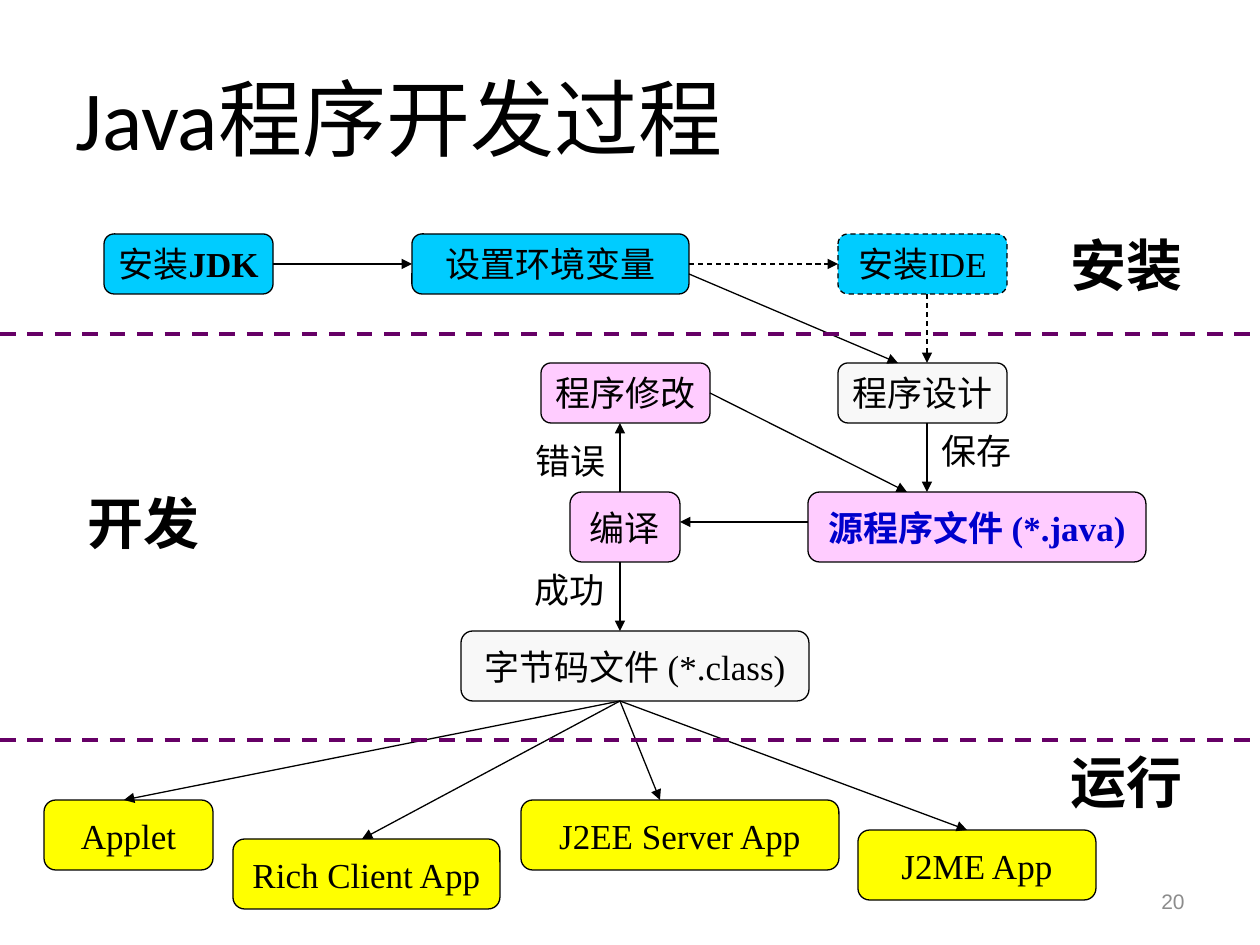
import pptx
import pptx.dml.color
import pptx.enum.dml
import pptx.enum.shapes
import pptx.enum.text
import pptx.oxml
import pptx.oxml.ns
import pptx.util
import dataclasses

PX = 914400 / 126  # EMU per pixel
ALIGN = pptx.enum.text.PP_ALIGN
MIDDLE = pptx.enum.text.MSO_ANCHOR.MIDDLE
TOP, LEFT, BOTTOM, RIGHT = range(4)


@dataclasses.dataclass(frozen=True)
class Theme:
    ink: str = "000000"
    source_ink: str = "0000CC"
    number_ink: str = "8C8C8C"
    install: str = "00CCFF"
    edit: str = "FFCCFF"
    plain: str = "F8F8F8"
    run: str = "FFFF00"
    divider: str = "660066"
    title_size: int = 48
    stage_size: int = 32
    body_size: int = 20
    number_size: int = 12
    thin: float = 0.75
    thick: float = 2.25
    sans: str = "Calibri"
    serif: str = "Times New Roman"
    number_font: str = "Arial"


theme = Theme()


def rgb(value):
    return pptx.dml.color.RGBColor.from_string(value)


def write(shape, text, font, size, color=theme.ink, bold=False,
          align=ALIGN.CENTER, bold_tail=""):
    """Fill a shape with one paragraph, optionally ending in a bold run."""
    para = shape.text_frame.paragraphs[0]
    para.text = text
    para.alignment = align
    if bold_tail:
        para.add_run().text = bold_tail
    for span in para.runs:
        span.font.name = font
        span.font.size = pptx.util.Pt(size)
        span.font.bold = bold or span.text == bold_tail
        span.font.color.rgb = rgb(color)


deck = pptx.Presentation()
deck.slide_width = round(1260 * PX)
deck.slide_height = round(945 * PX)
page = deck.slides.add_slide(deck.slide_layouts[5])

title = page.shapes.title
title.left, title.top, title.width, title.height = (
    round(v * PX) for v in (63, 38, 1134, 157))
title.text_frame.vertical_anchor = MIDDLE
write(title, "Java程序开发过程", theme.sans, theme.title_size, align=ALIGN.LEFT)

# Process boxes: name, text, bold tail, fill, left, top, width, height
steps = [
    ("jdk", "安装", "JDK", theme.install, 104, 234, 169, 60),
    ("environment", "设置环境变量", "", theme.install, 412, 234, 277, 60),
    ("ide", "安装IDE", "", theme.install, 838, 234, 169, 60),
    ("source", "源程序文件 (*.java)", "", theme.edit, 808, 492, 338, 70),
    ("compile", "编译", "", theme.edit, 570, 492, 110, 70),
    ("bytecode", "字节码文件 (*.class)", "", theme.plain, 461, 631, 348, 70),
    ("design", "程序设计", "", theme.plain, 838, 363, 169, 60),
    ("modify", "程序修改", "", theme.edit, 541, 363, 169, 60),
    ("applet", "Applet", "", theme.run, 44, 800, 169, 70),
    ("rich_client", "Rich Client App", "", theme.run, 233, 839, 267, 70),
    ("server", "J2EE Server App", "", theme.run, 521, 800, 318, 70),
    ("mobile", "J2ME App", "", theme.run, 858, 830, 238, 70),
]
boxes = {}
for name, text, tail, fill, *frame in steps:
    box = page.shapes.add_shape(
        pptx.enum.shapes.MSO_SHAPE.FLOWCHART_ALTERNATE_PROCESS,
        *(round(v * PX) for v in frame))
    box.shadow.inherit = False
    box.fill.solid()
    box.fill.fore_color.rgb = rgb(fill)
    box.line.color.rgb = rgb(theme.ink)
    box.line.width = pptx.util.Pt(theme.thin)
    box.text_frame.word_wrap = False
    box.text_frame.vertical_anchor = MIDDLE
    is_source = name == "source"
    write(box, text, theme.serif, theme.body_size,
          theme.source_ink if is_source else theme.ink, is_source, bold_tail=tail)
    boxes[name] = box
boxes["ide"].line.dash_style = pptx.enum.dml.MSO_LINE.DASH

# Lines: start, end, dashed, is divider; an end is a point or (box name, side)
fan = (620, 701)
lines = [
    (("jdk", RIGHT), ("environment", LEFT), False, False),
    (("environment", RIGHT), ("ide", LEFT), True, False),
    ((689, 274), (898, 363), False, False),
    ((927, 294), (927, 363), True, False),
    (("modify", RIGHT), (907, 492), False, False),
    ((927, 423), (927, 492), False, False),
    ((808, 522), (680, 522), False, False),
    ((620, 492), (620, 423), False, False),
    ((620, 562), (620, 631), False, False),
    *((fan, end, False, False)
      for end in ((124, 800), (362, 839), (660, 800), (967, 830))),
    *(((0, y), (1260, y), True, True) for y in (334, 740)),
]
for start, end, dashed, divider in lines:
    joined_start, joined_end = (isinstance(p[0], str) for p in (start, end))
    points = ((0, 0) if joined_start else start) + ((0, 0) if joined_end else end)
    line = page.shapes.add_connector(
        pptx.enum.shapes.MSO_CONNECTOR.STRAIGHT, *(round(v * PX) for v in points))
    if joined_start:
        line.begin_connect(boxes[start[0]], start[1])
    if joined_end:
        line.end_connect(boxes[end[0]], end[1])
    line.line.color.rgb = rgb(theme.divider if divider else theme.ink)
    line.line.width = pptx.util.Pt(theme.thick if divider else theme.thin)
    if dashed:
        line.line.dash_style = pptx.enum.dml.MSO_LINE.DASH
    properties = line._element.spPr
    if not divider:
        head = pptx.oxml.parse_xml(
            f'<a:tailEnd {pptx.oxml.ns.nsdecls("a")} type="triangle"/>')
        line.line._get_or_add_ln().append(head)
    properties.append(pptx.oxml.parse_xml(
        f'<a:effectLst {pptx.oxml.ns.nsdecls("a")}/>'))

# Arrow labels and stage names: text, left, top, is stage
labels = [
    ("错误", 511, 433, False),
    ("成功", 510, 562, False),
    ("保存", 917, 423, False),
    ("安装", 1047, 224, True),
    ("开发", 64, 482, True),
    ("运行", 1047, 741, True),
]
for text, left, top, stage in labels:
    width, height = (159, 79) if stage else (120, 54)
    label = page.shapes.add_textbox(
        *(round(v * PX) for v in (left, top, width, height)))
    label.text_frame.word_wrap = True
    write(label, text, theme.sans,
          theme.stage_size if stage else theme.body_size, bold=stage)

number = page.shapes.add_textbox(*(round(v * PX) for v in (903, 876, 294, 50)))
number.text_frame.word_wrap = True
number.text_frame.vertical_anchor = MIDDLE
write(number, "20", theme.number_font, theme.number_size, theme.number_ink,
      align=ALIGN.RIGHT)

deck.save("out.pptx")
